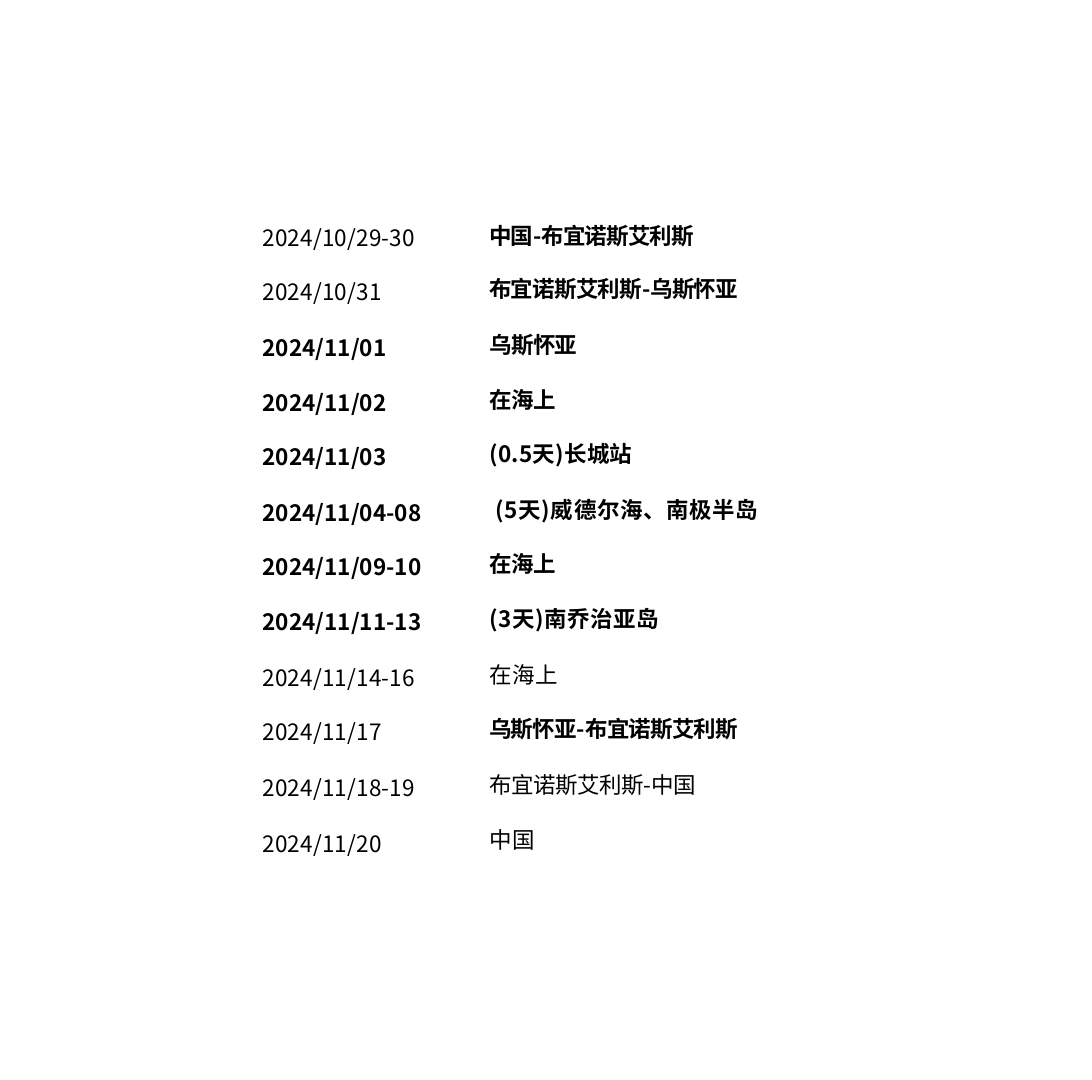
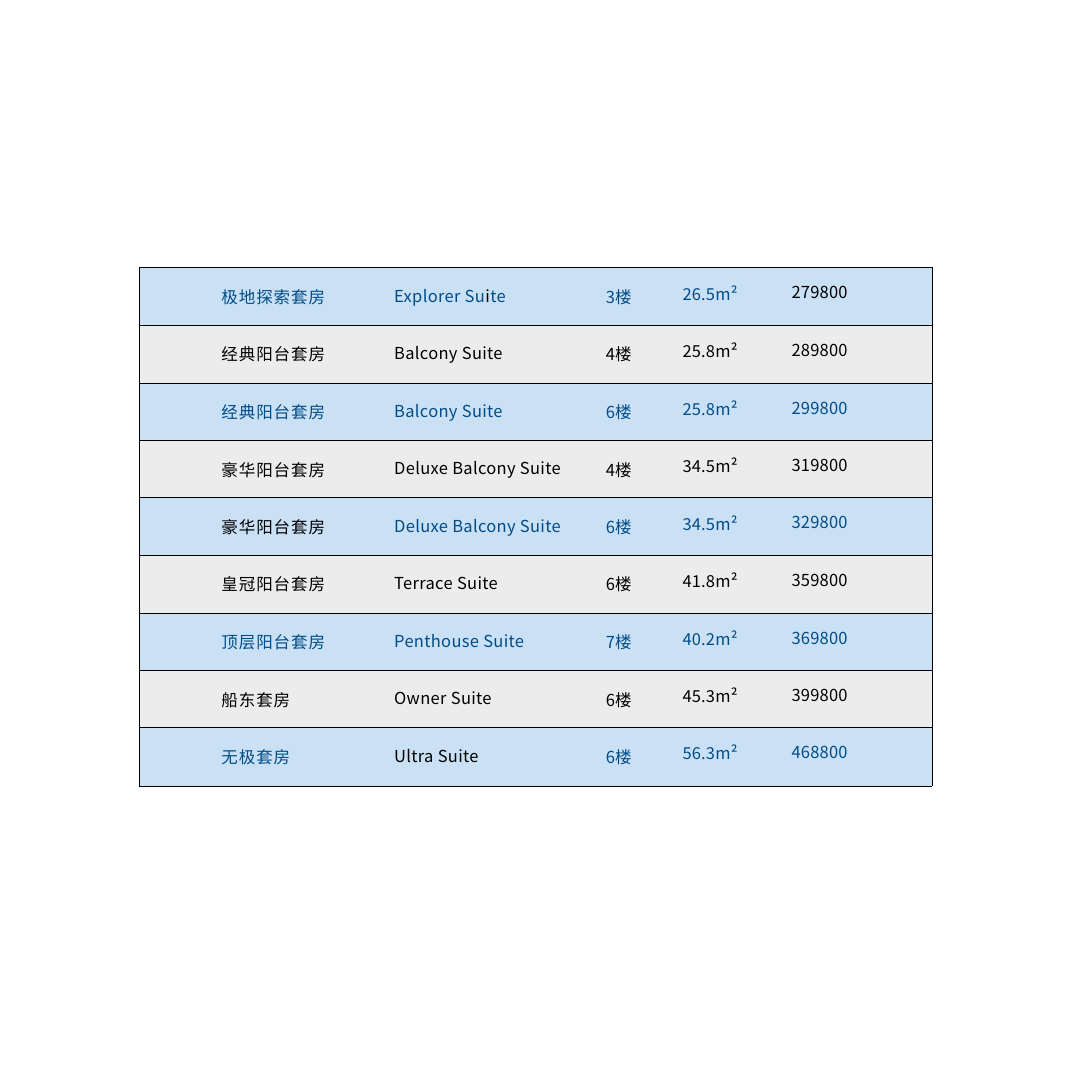
from dataclasses import dataclass

from lxml.etree import SubElement
from pptx import Presentation
from pptx.dml.color import RGBColor
from pptx.enum.text import PP_ALIGN
from pptx.oxml.ns import qn
from pptx.util import Inches, Pt


@dataclass(frozen=True)
class Theme:
    font: str = "Noto Sans CJK SC"
    black: str = "000000"
    blue: str = "004C87"
    band_blue: str = "CAE0F5"
    band_grey: str = "ECECEC"
    itinerary_size: float = 15
    cabin_size: float = 11
    rule_width: float = 0.5


THEME = Theme()

ITINERARY = [
    ("2024/10/29-30", False, "中国-布宜诺斯艾利斯", True, -0.6),
    ("2024/10/31", False, "布宜诺斯艾利斯-乌斯怀亚", True, -0.5),
    ("2024/11/01", True, "乌斯怀亚", True, -0.4),
    ("2024/11/02", True, "在海上", True, -0.2),
    ("2024/11/03", True, "(0.5天)长城站", True, 0.2),
    ("2024/11/04-08", True, "(5天)威德尔海、南极半岛", True, 0.4),
    ("2024/11/09-10", True, "在海上", True, -0.2),
    ("2024/11/11-13", True, "(3天)南乔治亚岛", True, 0.4),
    ("2024/11/14-16", False, "在海上", False, 0.3),
    ("2024/11/17", False, "乌斯怀亚-布宜诺斯艾利斯", True, -0.5),
    ("2024/11/18-19", False, "布宜诺斯艾利斯-中国", False, -0.3),
    ("2024/11/20", False, "中国", False, 0.2),
]
ITINERARY_HEIGHTS = [0.39, 0.52, 0.51, 0.5, 0.52, 0.5, 0.51, 0.52, 0.5, 0.52, 0.51, 0.38]
LONGEST_STAY = 5

CABINS = [
    ("极地探索套房", "Explorer Suite", "3楼", "26.5m²", "279800"),
    ("经典阳台套房", "Balcony Suite", "4楼", "25.8m²", "289800"),
    ("经典阳台套房", "Balcony Suite", "6楼", "25.8m²", "299800"),
    ("豪华阳台套房", "Deluxe Balcony Suite", "4楼", "34.5m²", "319800"),
    ("豪华阳台套房", "Deluxe Balcony Suite", "6楼", "34.5m²", "329800"),
    ("皇冠阳台套房", "Terrace Suite", "6楼", "41.8m²", "359800"),
    ("顶层阳台套房", "Penthouse Suite", "7楼", "40.2m²", "369800"),
    ("船东套房", "Owner Suite", "6楼", "45.3m²", "399800"),
    ("无极套房", "Ultra Suite", "6楼", "56.3m²", "468800"),
]
CABIN_HEIGHTS = [0.53, 0.54, 0.53, 0.53, 0.53, 0.54, 0.53, 0.53, 0.54]
CABIN_INDENTS = [0.76, 0.32, 0.19, 0.24, 0.29]
CABIN_TOPS = [0.15, 0.14, 0.15, 0.12, 0.11]
CABIN_SPACING = [0.6, 0.2, 0, 0.1, 0.1]
BLACK_ON_BLUE = {(0, 4), (4, 0), (8, 1)}


def write_text(paragraph, text, size, color=THEME.black, bold=False, spacing=0):
    run = paragraph.add_run()
    run.text = text
    run.font.size = Pt(size)
    run.font.bold = bold
    run.font.color.rgb = RGBColor.from_string(color)
    run.font.name = THEME.font
    properties = run._r.get_or_add_rPr()
    properties.set("spc", str(round(spacing * 100)))
    SubElement(properties, qn("a:ea"), typeface=THEME.font)


class Deck:
    def __init__(self, theme):
        self.theme = theme
        self.presentation = Presentation()
        self.presentation.slide_width = Inches(10.11)
        self.presentation.slide_height = Inches(10)
        self.slide = None

    def add_slide(self):
        self.slide = self.presentation.slides.add_slide(self.presentation.slide_layouts[6])

    def table(self, left, top, widths, heights):
        table = self.slide.shapes.add_table(
            len(heights), len(widths), Inches(left), Inches(top),
            Inches(sum(widths)), Inches(sum(heights))).table
        table.first_row = table.horz_banding = False
        for column, width in zip(table.columns, widths):
            column.width = Inches(width)
        for row, height in zip(table.rows, heights):
            row.height = Inches(height)
        return table

    def cell(self, cell, runs, indent, top, fill=None, sides="", align=PP_ALIGN.LEFT, **style):
        cell.margin_left, cell.margin_top = Inches(indent), Inches(top)
        cell.margin_right = cell.margin_bottom = 0
        self.borders(cell, sides)
        if fill:
            cell.fill.solid()
            cell.fill.fore_color.rgb = RGBColor.from_string(fill)
        else:
            cell.fill.background()
        paragraph = cell.text_frame.paragraphs[0]
        paragraph.alignment = align
        for text, color in runs:
            write_text(paragraph, text, color=color, **style)

    def borders(self, cell, sides):
        properties = cell._tc.get_or_add_tcPr()
        for side in "LRTB":
            line = SubElement(properties, qn(f"a:ln{side}"), w=str(Pt(self.theme.rule_width)))
            if side in sides:
                solid = SubElement(line, qn("a:solidFill"))
                SubElement(solid, qn("a:srgbClr"), val=self.theme.black)
            else:
                SubElement(line, qn("a:noFill"))


def build_itinerary(deck):
    deck.add_slide()
    table = deck.table(2.43, 2.01, [1.74, 2.85], ITINERARY_HEIGHTS)
    size, black = deck.theme.itinerary_size, deck.theme.black
    for day, (date, date_bold, route, route_bold, spacing) in enumerate(ITINERARY):
        date_top, route_top = (0.14, 0.11) if day else (0.03, 0.01)
        align = PP_ALIGN.RIGHT if day == LONGEST_STAY else PP_ALIGN.LEFT
        indent = 0 if day == LONGEST_STAY else 0.36
        deck.cell(table.cell(day, 0), [(date, black)], 0, date_top, size=size,
                  bold=date_bold, spacing=0.05 if date_bold else 0.15)
        deck.cell(table.cell(day, 1), [(route, black)], indent, route_top, align=align,
                  size=size, bold=route_bold, spacing=spacing)


def build_cabins(deck):
    theme = deck.theme
    deck.add_slide()
    table = deck.table(1.29, 2.48, [2.04, 2.09, 0.66, 0.96, 1.59], CABIN_HEIGHTS)
    edges = {0: "LTB", 4: "RTB"}
    for row, cabin in enumerate(CABINS):
        is_blue = row % 2 == 0
        for column, text in enumerate(cabin):
            color = theme.blue if is_blue and (row, column) not in BLACK_ON_BLUE else theme.black
            runs = [(text, color)]
            if text == "Explorer Suite":
                runs = [("Explorer Su", color), ("i", theme.black), ("te", color)]
            deck.cell(table.cell(row, column), runs, CABIN_INDENTS[column], CABIN_TOPS[column],
                      fill=theme.band_blue if is_blue else theme.band_grey,
                      sides=edges.get(column, "TB"), size=theme.cabin_size,
                      spacing=CABIN_SPACING[column])


def main():
    deck = Deck(THEME)
    build_itinerary(deck)
    build_cabins(deck)
    deck.presentation.save("out.pptx")


if __name__ == "__main__":
    main()
